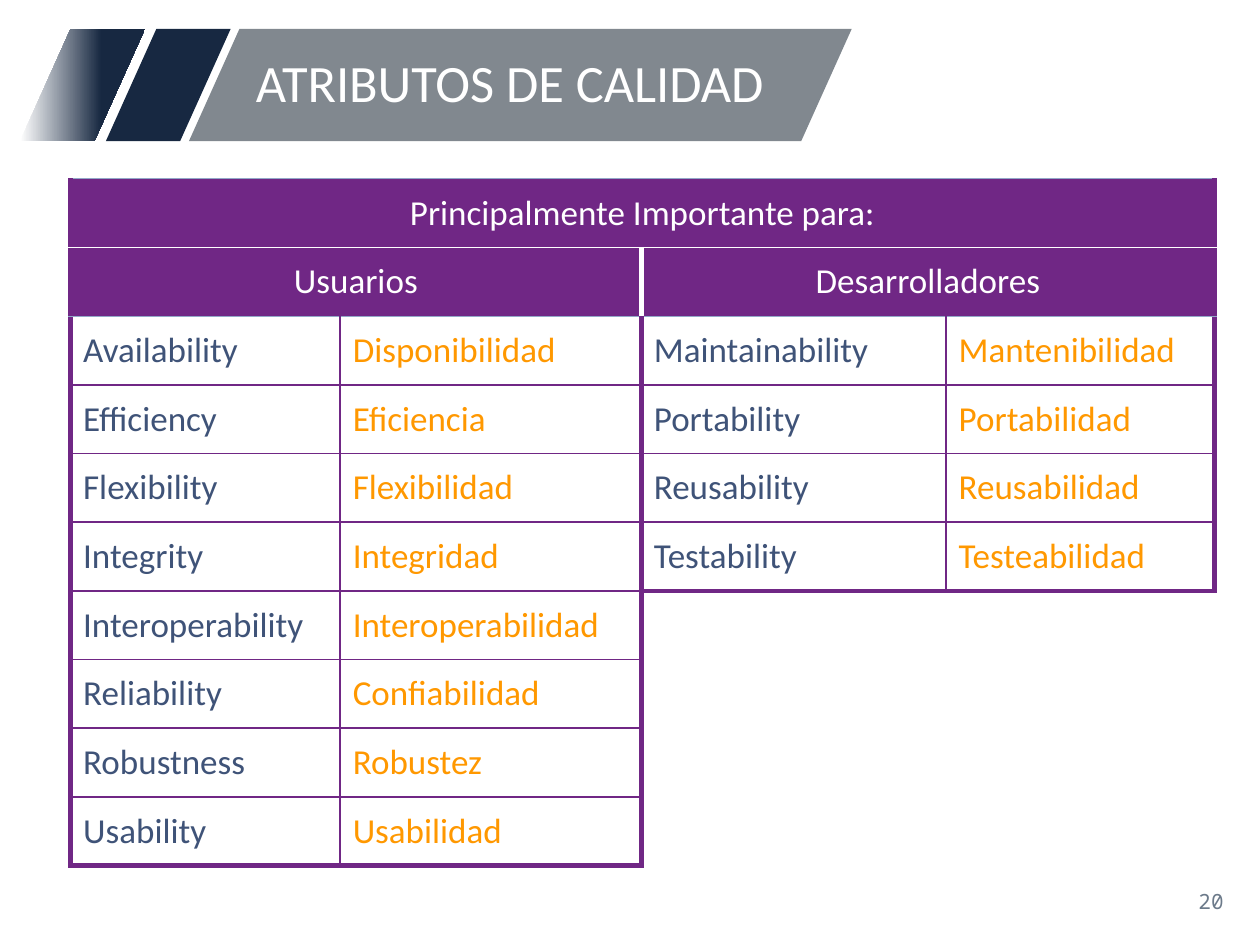
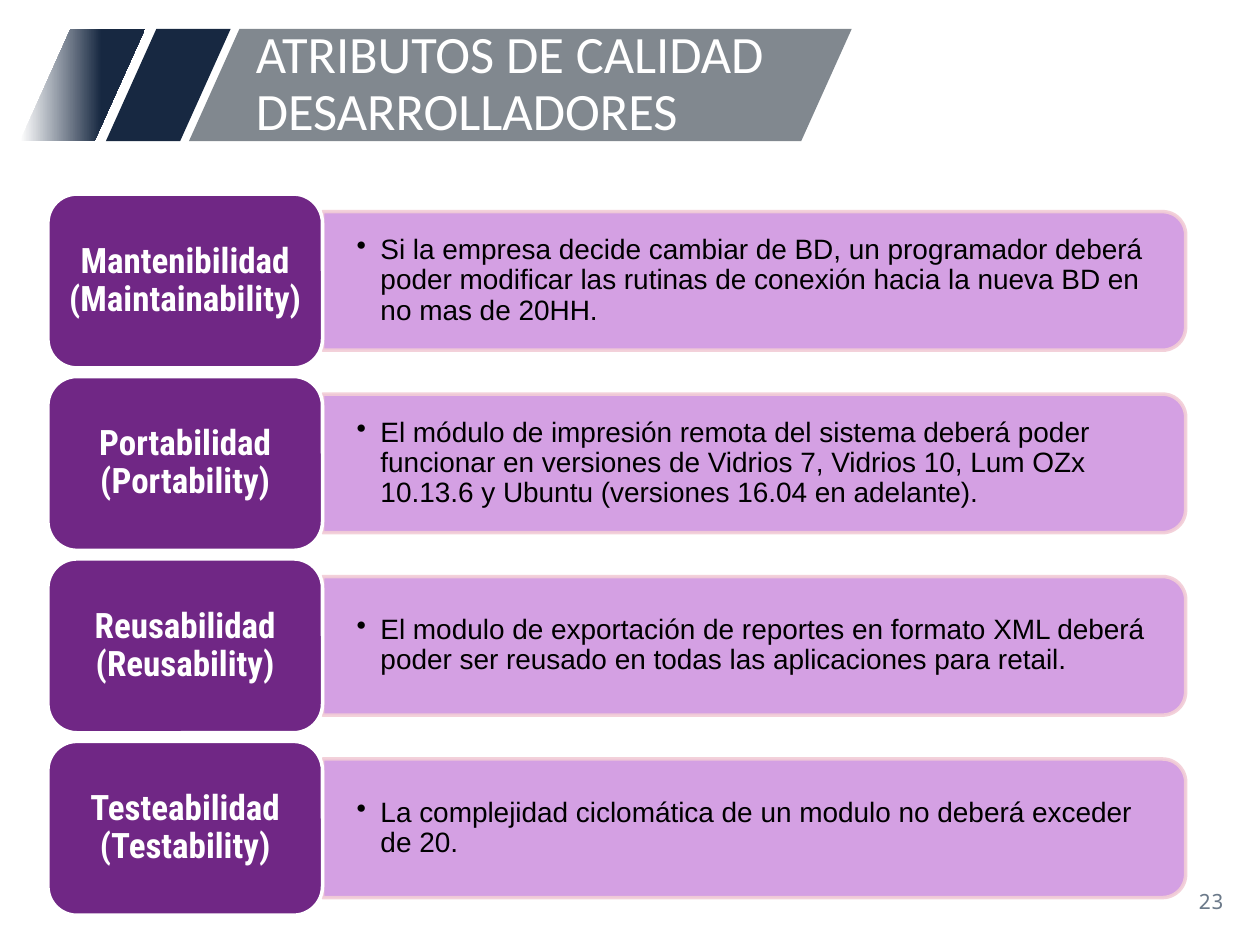
from itertools import product
from lxml.etree import SubElement
from pptx import Presentation
from pptx.dml.color import RGBColor
from pptx.enum.shapes import MSO_SHAPE
from pptx.enum.text import MSO_ANCHOR, MSO_AUTO_SIZE, PP_ALIGN
from pptx.oxml import parse_xml
from pptx.oxml.ns import nsdecls, qn
from pptx.util import Inches, Pt

HUES = {
    "navy": "172841", "gray": "81888F", "white": "FFFFFF", "page": "6C7A8A",
    "plum": "702785", "lilac": "D096E0", "rose": "F2CDD6", "blue": "3F5378",
    "gold": "FF9800", "mist": "92A8C8", "black": "000000",
}
RGB = {name: RGBColor.from_string(code) for name, code in HUES.items()}

FRAME = {"word_wrap": True, "auto_size": MSO_AUTO_SIZE.NONE,
         "vertical_anchor": MSO_ANCHOR.MIDDLE}
TILE = FRAME | {"margin_left": Inches(0.08), "margin_right": Inches(0.08),
                "margin_top": Inches(0.04), "margin_bottom": Inches(0.04)}
PANEL = FRAME | {"margin_left": Inches(0.27), "margin_right": Inches(0.27),
                 "margin_top": Inches(0.14), "margin_bottom": Inches(0.14)}
CELL = {"vertical_anchor": MSO_ANCHOR.MIDDLE,
        "margin_left": Inches(0.1), "margin_right": Inches(0.1),
        "margin_top": Inches(0.07), "margin_bottom": Inches(0.07)}
LEFT = {"alignment": PP_ALIGN.LEFT}
MID = {"alignment": PP_ALIGN.CENTER}
RIGHT = {"alignment": PP_ALIGN.RIGHT}
TIGHT = {"line_spacing": 0.9}
HEAD = {"name": "Calibri", "size": Pt(30)}
GRID = {"name": "Calibri", "size": Pt(20)}
PAGE = {"name": "Noto Sans Mono", "size": Pt(12)}
NAME = {"name": "Roboto Condensed", "size": Pt(20), "bold": True}
NOTE = {"name": "Arial", "size": Pt(16)}

deck = Presentation()
deck.slide_width, deck.slide_height = Inches(10), Inches(7.5)
COL, ROW = deck.slide_width / 100, deck.slide_height / 75


def span(col, row, wide, high):
    """Turn a place on the 100 by 75 grid into left, top, width, height."""
    return int(col * COL), int(row * ROW), int(wide * COL), int(high * ROW)


def put(frame, text, hue, font, para, box=None):
    """Write one paragraph and apply its formats."""
    frame.text = text
    line = frame.paragraphs[0]
    pairs = [(frame, box or {}), (line, para)]
    pairs += [(run.font, font) for run in line.runs]
    for item, looks in pairs:
        for key, value in looks.items():
            setattr(item, key, value)
    for run in line.runs:
        run.font.color.rgb = RGB[hue]
    return line


# Shared layout: title place and slanted bands
layout = deck.slide_layouts[5]
title = layout.placeholders[0]
title.left, title.top, title.width, title.height = span(19.3, 2.3, 46.9, 8.9)

slides = []
for text, page in [("ATRIBUTOS DE CALIDAD", "20"),
                   ("ATRIBUTOS DE CALIDAD\vDESARROLLADORES", "23")]:
    slide = deck.slides.add_slide(layout)
    put(slide.shapes.title.text_frame, text, "white", HEAD, LEFT | TIGHT, FRAME)
    box = slide.shapes.add_textbox(*span(75.6, 69.5, 22.5, 4))
    put(box.text_frame, page, "page", PAGE, RIGHT, FRAME)
    slides.append(slide)
first, second = slides

bands = [(8.4, 9.9, "navy"), (1.6, 9.9, "fade"), (15, 52.6, "gray")]
for num, (col, wide, hue) in enumerate(bands, 20):
    band = first.shapes.add_shape(MSO_SHAPE.PARALLELOGRAM,
                                  *span(col, 2.3, wide, 8.9))
    band.adjustments[0] = 0.45
    band.shadow.inherit = False
    band.line.fill.background()
    if hue == "fade":
        band.fill.gradient()
        band.fill.gradient_angle = 0
        for stop, spot, tint in zip(band.fill.gradient_stops, (0, 0.65),
                                    ("white", "navy")):
            stop.position = spot
            stop.color.rgb = RGB[tint]
    else:
        band.fill.solid()
        band.fill.fore_color.rgb = RGB[hue]
    band.element.nvSpPr.cNvPr.set("id", str(num))
    layout.shapes.element.append(band.element)

# Table of attributes
users = [
    ("Availability", "Disponibilidad"), ("Efficiency", "Eficiencia"),
    ("Flexibility", "Flexibilidad"), ("Integrity", "Integridad"),
    ("Interoperability", "Interoperabilidad"), ("Reliability", "Confiabilidad"),
    ("Robustness", "Robustez"), ("Usability", "Usabilidad"),
]
makers = [
    ("Maintainability", "Mantenibilidad"), ("Portability", "Portabilidad"),
    ("Reusability", "Reusabilidad"), ("Testability", "Testeabilidad"),
]
words = {(0, 0): "Principalmente Importante para:",
         (1, 0): "Usuarios", (1, 2): "Desarrolladores"}
for start, pairs in [(0, users), (2, makers)]:
    for row, pair in enumerate(pairs, 2):
        words[row, start], words[row, start + 1] = pair

table = first.shapes.add_table(10, 4, *span(5.6, 14.2, 90.8, 54.5)).table
table.first_row = table.horz_banding = False
table._tbl.tblPr[0].text = "{2D5ABB26-0587-4C30-8999-92F81FD0307C}"
for col, wide in zip(table.columns, (21.4, 23.9, 24.2, 21.3)):
    col.width = int(wide * COL)
for top, left, low, far in [(0, 0, 0, 3), (1, 0, 1, 1), (1, 2, 1, 3), (6, 2, 9, 3)]:
    table.cell(top, left).merge(table.cell(low, far))

for row, col in product(range(10), range(4)):
    cell = table.cell(row, col)
    head = row < 2
    if head:
        cell.fill.solid()
        cell.fill.fore_color.rgb = RGB["plum"]
    if (row, col) in words:
        hue = "white" if head else ("blue", "gold")[col % 2]
        put(cell.text_frame, words[row, col], hue, GRID, MID if head else LEFT)
        for key, value in CELL.items():
            setattr(cell, key, value)
    if row > 5 and col > 1:
        continue
    last = row == (9 if col < 2 else 5)
    edges = {
        "L": ("plum", 1 if col % 2 else 3),
        "R": ("plum", 3 if col % 2 else 1),
        "T": ("plum", 1),
        "B": ("plum", 3 if last else 1),
    }
    if row == 0:
        edges = {"L": ("plum", 3), "R": ("plum", 3),
                 "T": ("mist", 0.75), "B": ("white", 1)}
    elif row == 1:
        edges = {"L": ("plum" if col < 2 else "white", 3),
                 "R": ("white" if col < 2 else "plum", 3),
                 "T": ("white", 1), "B": ("mist", 0.75)}
    elif row == 2:
        edges["T"] = ("mist", 0.75)
    for spot, (side, (hue, size)) in enumerate(edges.items()):
        cell._tc.get_or_add_tcPr().insert(spot, parse_xml(
            f'<a:ln{side} {nsdecls("a")} w="{Pt(size)}"><a:solidFill>'
            f'<a:srgbClr val="{HUES[hue]}"/></a:solidFill></a:ln{side}>'))

# Panels, one for each attribute
notes = [
    ("Mantenibilidad (Maintainability)",
     "Si la empresa decide cambiar de BD, un programador deberá poder modificar "
     "las rutinas de conexión hacia la nueva BD en no mas de 20HH."),
    ("Portabilidad (Portability)",
     "El módulo de impresión remota del sistema deberá poder funcionar en "
     "versiones de Vidrios 7, Vidrios 10, Lum OZx 10.13.6 y Ubuntu "
     "(versiones 16.04 en adelante)."),
    ("Reusabilidad (Reusability)",
     "El modulo de exportación de reportes en formato XML deberá poder ser "
     "reusado en todas las aplicaciones para retail."),
    ("Testeabilidad (Testability)",
     "La complejidad ciclomática de un modulo no deberá exceder de 20."),
]
WIDE, HIGH = 68.5, 11
for num, (name, note) in enumerate(notes):
    top = 15.4 + 14.48 * num
    # The bar is turned a quarter, so its box is centred on the panel
    bar = second.shapes.add_shape(
        MSO_SHAPE.ROUND_2_SAME_RECTANGLE,
        *span(25.6 + (WIDE - HIGH) / 2, top + 6.9 - WIDE / 2, HIGH, WIDE))
    bar.rotation = 90
    tile = second.shapes.add_shape(MSO_SHAPE.ROUNDED_RECTANGLE,
                                   *span(3.8, top, 21.8, 13.8))
    for shape, fill, edge in [(bar, "lilac", "rose"), (tile, "plum", "white")]:
        shape.shadow.inherit = False
        shape.fill.solid()
        shape.fill.fore_color.rgb = RGB[fill]
        shape.line.color.rgb = RGB[edge]
        shape.line.width = Pt(2)
    for tint in bar.element.spPr.iter(qn("a:srgbClr")):
        SubElement(tint, qn("a:alpha"), val="90000")
    put(tile.text_frame, name, "white", NAME, MID | TIGHT, TILE)

    box = second.shapes.add_textbox(*span(25.6, top + 1.9, 68, 10))
    line = put(box.text_frame, note, "black", NOTE, LEFT | TIGHT, PANEL)
    props = line._p.get_or_add_pPr()
    props.set("marL", str(Inches(0.19)))
    props.set("indent", str(-Inches(0.19)))
    SubElement(props, qn("a:buChar"), char="•")

deck.save("out.pptx")
